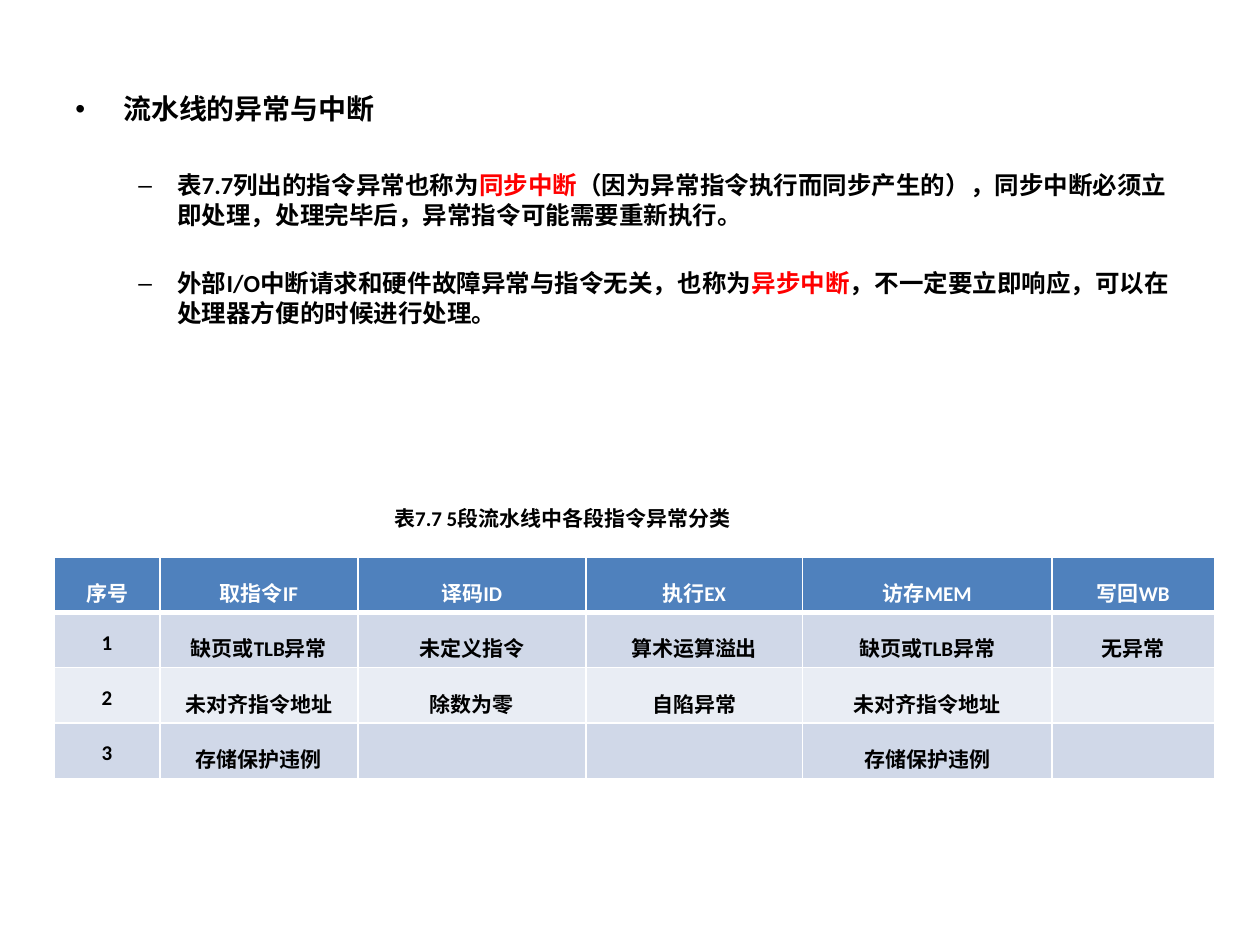
"""Build a slide on pipeline exceptions and interrupts with a classification table."""
import pptx
import pptx.dml.color
import pptx.enum.text
import pptx.oxml
import pptx.oxml.ns
import pptx.util
from pptx.util import Inches

FONT = "Calibri"
COLORS = {"text": "000000", "accent": "FF0000", "header": "4F81BD",
          "odd": "D0D8E8", "even": "E9EDF4", "white": "FFFFFF"}

LEVELS = [
    {"bullet": "•", "size": 16, "margin": 0.38, "indent": -0.38},
    {"bullet": "–", "size": 14, "margin": 0.81, "indent": -0.31},
]
POINTS = [
    (0, 0, [("流水线的异常与中断", "text")]),
    (1, 25.5, [("表7.7列出的指令异常也称为", "text"), ("同步中断", "accent"),
               ("（因为异常指令执行而同步产生的），同步中断必须立即处理，"
                "处理完毕后，异常指令可能需要重新执行。", "text")]),
    (1, 22.5, [("外部I/O中断请求和硬件故障异常与指令无关，也称为", "text"),
               ("异步中断", "accent"),
               ("，不一定要立即响应，可以在处理器方便的时候进行处理。", "text")]),
]
CAPTION = "表7.7 5段流水线中各段指令异常分类"
COLUMN_WIDTHS = [0.84, 1.57, 1.81, 1.72, 1.98, 1.29]
ROW_HEIGHT = 0.44
ROWS = [
    ["序号", "取指令IF", "译码ID", "执行EX", "访存MEM", "写回WB"],
    ["1", "缺页或TLB异常", "未定义指令", "算术运算溢出", "缺页或TLB异常", "无异常"],
    ["2", "未对齐指令地址", "除数为零", "自陷异常", "未对齐指令地址", ""],
    ["3", "存储保护违例", "", "", "存储保护违例", ""],
]


def rgb(name):
    return pptx.dml.color.RGBColor.from_string(COLORS[name])


def style(font, size, color):
    font.name = FONT
    font.size = pptx.util.Pt(size)
    font.bold = True
    font.color.rgb = rgb(color)


def add_xml(parent, tag, attributes, content=""):
    namespace = pptx.oxml.ns.nsdecls("a")
    parent.append(pptx.oxml.parse_xml(
        f"<a:{tag} {namespace} {attributes}>{content}</a:{tag}>"))


def add_text_frame(slide, left, top, width, height):
    box = slide.shapes.add_textbox(*map(Inches, (left, top, width, height)))
    box.text_frame.word_wrap = True
    return box.text_frame


def add_points(slide):
    frame = add_text_frame(slide, 0.5, 0.68, 9, 4.95)
    for number, (level, gap, pieces) in enumerate(POINTS):
        paragraph = frame.add_paragraph() if number else frame.paragraphs[0]
        look = LEVELS[level]
        paragraph.level = level
        paragraph.space_before = pptx.util.Pt(gap)
        properties = paragraph._p.get_or_add_pPr()
        properties.set("marL", str(Inches(look["margin"])))
        properties.set("indent", str(Inches(look["indent"])))
        add_xml(properties, "buFont", 'typeface="Arial"')
        add_xml(properties, "buChar", f'char="{look["bullet"]}"')
        for words, color in pieces:
            run = paragraph.add_run()
            run.text = words
            style(run.font, look["size"], color)


def add_caption(slide):
    paragraph = add_text_frame(slide, 3.03, 3.96, 3.02, 0.3).paragraphs[0]
    paragraph.text = CAPTION
    style(paragraph.runs[0].font, 12, "text")


def fill_cell(cell, words, row):
    cell.margin_left = cell.margin_right = Inches(0.07)
    cell.margin_top = cell.margin_bottom = Inches(0.04)
    widths = {"L": 1, "R": 1, "T": 3 if row == 1 else 1, "B": 3 if row == 0 else 1}
    for side, width in widths.items():
        add_xml(cell._tc.get_or_add_tcPr(), f"ln{side}", f'w="{pptx.util.Pt(width)}"',
                f'<a:solidFill><a:srgbClr val="{COLORS["white"]}"/></a:solidFill>')
    cell.fill.solid()
    cell.fill.fore_color.rgb = rgb("header" if row == 0 else "odd" if row % 2 else "even")
    paragraph = cell.text_frame.paragraphs[0]
    paragraph.text = words
    paragraph.alignment = pptx.enum.text.PP_ALIGN.CENTER
    paragraph.line_spacing = 1.5
    style(paragraph.font, 12, "text")
    for run in paragraph.runs:
        style(run.font, 12, "text" if row else "white")


def add_exceptions(slide):
    table = slide.shapes.add_table(
        len(ROWS), len(COLUMN_WIDTHS), Inches(0.43), Inches(4.42),
        Inches(sum(COLUMN_WIDTHS)), Inches(ROW_HEIGHT * len(ROWS))).table
    for column, width in zip(table.columns, COLUMN_WIDTHS):
        column.width = Inches(width)
    for row, entries in enumerate(ROWS):
        for column, words in enumerate(entries):
            fill_cell(table.cell(row, column), words, row)


def main():
    deck = pptx.Presentation()
    deck.slide_width, deck.slide_height = Inches(10), Inches(7.5)
    slide = deck.slides.add_slide(deck.slide_layouts[6])
    add_points(slide)
    add_exceptions(slide)
    add_caption(slide)
    deck.save("out.pptx")


if __name__ == "__main__":
    main()
